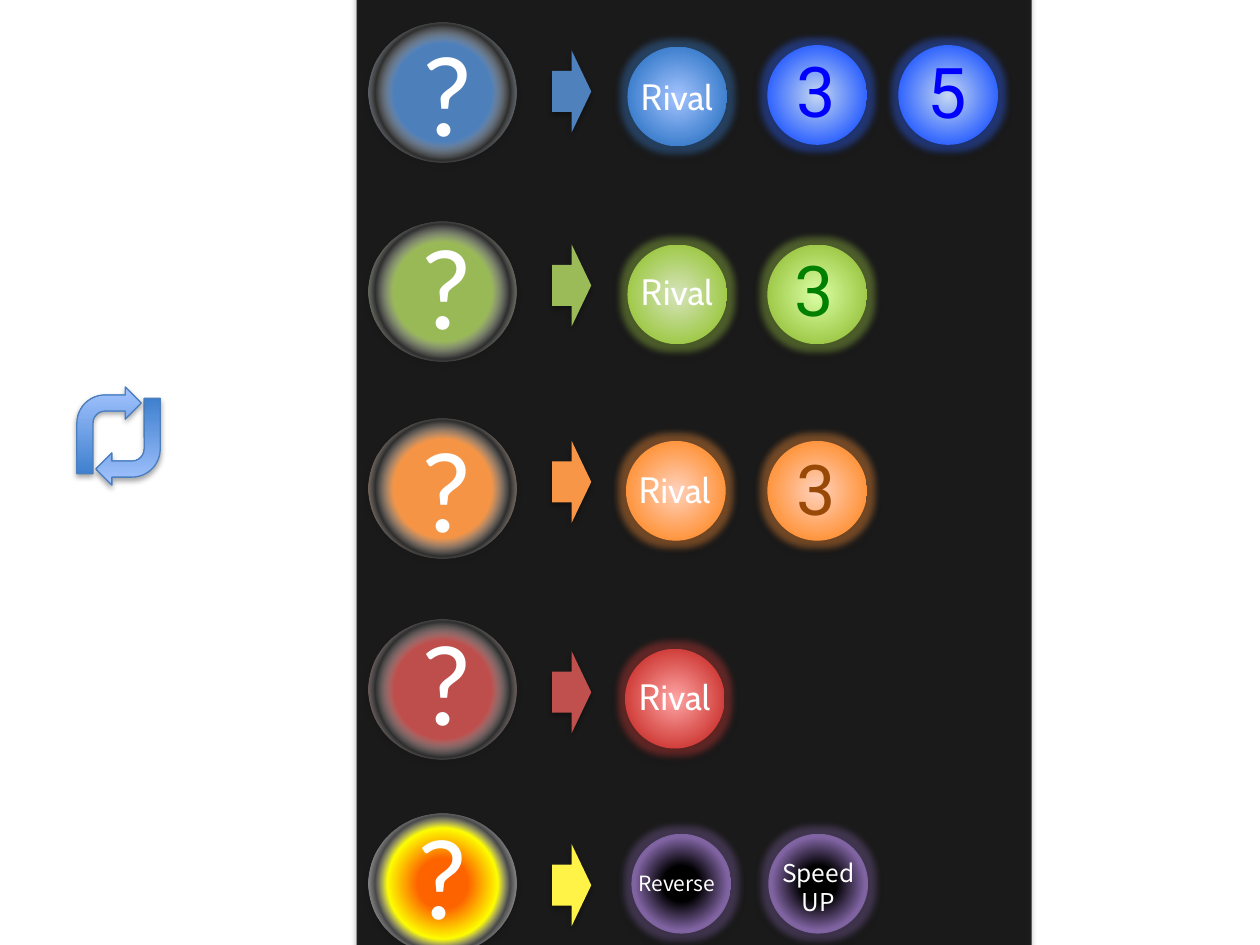
from lxml import etree
from pptx import Presentation
from pptx.dml.color import RGBColor
from pptx.enum.shapes import MSO_SHAPE
from pptx.enum.text import MSO_AUTO_SIZE, PP_ALIGN
from pptx.oxml import parse_xml
from pptx.util import Cm, Pt

RECTANGLE = MSO_SHAPE.RECTANGLE
OVAL = MSO_SHAPE.OVAL
RIGHT_ARROW = MSO_SHAPE.RIGHT_ARROW
BENT_ARROW = MSO_SHAPE.BENT_ARROW
FIT_SHAPE = MSO_AUTO_SIZE.SHAPE_TO_FIT_TEXT
CENTER = PP_ALIGN.CENTER

NS = "http://schemas.openxmlformats.org/drawingml/2006/main"
COLOR = '<a:srgbClr val="{}"><a:alpha val="{}"/></a:srgbClr>'
RADIAL = ('<a:path path="circle"><a:fillToRect l="50000" t="50000" '
          'r="50000" b="50000"/></a:path>')
UPWARD = '<a:lin ang="16200000" scaled="0"/>'

prs = Presentation()
prs.slide_width, prs.slide_height = Cm(25.4), Cm(19.05)
slide = prs.slides.add_slide(prs.slide_layouts[6])


def draw(kind, box, stops, direction=RADIAL, glow=None):
    """Add a shadowed shape; stops are (position, colour, opacity) in percent."""
    shape = slide.shapes.add_shape(kind, *[Cm(length) for length in box])
    shape.line.fill.background()
    shape.shadow.inherit = False
    colors = [COLOR.format(color, opacity * 1000) for _, color, opacity in stops]
    if len(stops) == 1:
        fill = f'<a:solidFill xmlns:a="{NS}">{colors[0]}</a:solidFill>'
    else:
        marks = "".join(f'<a:gs pos="{stop[0] * 1000}">{color}</a:gs>'
                        for stop, color in zip(stops, colors))
        fill = (f'<a:gradFill xmlns:a="{NS}" rotWithShape="1">'
                f'<a:gsLst>{marks}</a:gsLst>{direction}</a:gradFill>')
    properties = shape._element.spPr
    properties.find(f"{{{NS}}}prstGeom").addnext(parse_xml(fill))
    effects = properties.find(f"{{{NS}}}effectLst")
    if glow:
        effects.append(parse_xml(f'<a:glow xmlns:a="{NS}" rad="101600">'
                                 f'{COLOR.format(glow, 40000)}</a:glow>'))
    effects.append(parse_xml(
        f'<a:outerShdw xmlns:a="{NS}" blurRad="40000" dist="23000" dir="5400000" '
        f'rotWithShape="0">{COLOR.format("000000", 35000)}</a:outerShdw>'))
    return shape


def write(box, lines, size, color, align=None):
    """Add a text box; each line is a list of (text, font) pieces."""
    label = slide.shapes.add_textbox(*[Cm(length) for length in box])
    frame = label.text_frame
    frame.word_wrap = False
    frame.auto_size = FIT_SHAPE
    for index, pieces in enumerate(lines):
        paragraph = frame.add_paragraph() if index else frame.paragraphs[0]
        paragraph.alignment = align
        for text, font in pieces:
            run = paragraph.add_run()
            run.text = text
            run.font.name = font
            run.font.size = Pt(size)
            run.font.color.rgb = RGBColor.from_string(color)
    return label


# Dark panel
draw(RECTANGLE, (7.19, -3.86, 13.61, 24.16), [(0, "000000", 85)])

# Mystery items: circle top, mark left, mark top, arrow top, arrow colour
mysteries = [
    (0.46, 8.23, 0.3, 1.02, "4F81BD"),
    (4.47, 8.2, 4.19, 4.93, "9BBB59"),
    (8.43, 8.2, 8.28, 8.89, "F79646"),
    (12.5, 8.2, 12.17, 13.13, "C0504D"),
    (16.41, 8.13, 16.08, 17.02, "FFF348"),
]
for circle_top, mark_left, mark_top, arrow_top, color in mysteries:
    if color == "FFF348":
        ring = [(25, "FF6600", 100), (54, "FFFF00", 100),
                (66, "FFFFFF", 21), (86, "FFFFFF", 100)]
    else:
        ring = [(0, color, 100), (48, color, 100), (66, "FFFFFF", 9),
                (86, color, 100), (100, color, 100)]
    draw(OVAL, (7.42, circle_top, 3, 2.82), ring)
    write((mark_left, mark_top, 1.6, 3.07), [[("?", "Calibri")]], 66, "FFFFFF")
    draw(RIGHT_ARROW, (11.13, arrow_top, 0.79, 1.65), [(0, color, 100)])

# Outcome balls: left, top, inner stop, outer stop
balls = [
    (12.65, 0.94, (0, "A4C4FF"), (71, "3F80CE")),
    (15.47, 0.91, (0, "C6D9F1"), (70, "3366FF")),
    (18.11, 0.91, (0, "C6D9F1"), (70, "3366FF")),
    (12.65, 4.93, (0, "D7E4BD"), (71, "A0CA4A")),
    (15.47, 4.93, (0, "DAFFA5"), (71, "A0CA4A")),
    (12.62, 8.89, (0, "FFD2BD"), (71, "FF953E")),
    (15.47, 8.89, (0, "FFD2BD"), (71, "FF953E")),
    (12.6, 13.08, (0, "FFA6A5"), (70, "D1403C")),
    (12.73, 16.81, (25, "000000"), (66, "8064A2")),
    (15.49, 16.81, (25, "000000"), (66, "8064A2")),
]
for left, top, inner, outer in balls:
    draw(OVAL, (left, top, 2.01, 2.01), [(*inner, 100), (*outer, 100)],
         glow=outer[1])

# Rival labels
for left, top in [(12.67, 1.4), (12.67, 5.33), (12.62, 9.32), (12.62, 13.49)]:
    write((left, top, 1.98, 1.12),
          [[("R", "Noto Sans CJK JP"), ("ival", "Cabin")]], 20, "FFFFFF")

# Outlined numbers
numbers = [
    ("3", 15.8, 0.84, "0000FF"),
    ("5", 18.44, 0.86, "0000FF"),
    ("3", 15.77, 4.85, "008000"),
    ("3", 15.8, 8.86, "984807"),
]
for digit, left, top, color in numbers:
    number = write((left, top, 1.4, 1.96), [[(digit, "Roboto")]], 40, color)
    outline = etree.fromstring(
        f'<a:ln xmlns:a="{NS}" w="18415"><a:solidFill>'
        f'<a:srgbClr val="FFFFFF"/></a:solidFill></a:ln>')
    run = number.text_frame.paragraphs[0].runs[0]
    run.font._element.insert(0, outline)

# Special effects
write((12.62, 17.42, 2.24, 0.76), [[("Reverse", "Noto Sans CJK JP")]],
      12, "FFFFFF")
write((15.49, 17.17, 2.01, 1.45),
      [[("Speed", "Noto Sans CJK JP")], [("UP", "Noto Sans CJK JP")]],
      14, "FFFFFF", CENTER)

# Reverse symbol
for left, top, angle in [(1.93, 8.03, 180), (1.55, 7.8, 0)]:
    turn = draw(BENT_ARROW, (left, top, 1.3, 1.75),
                [(0, "3F80CE", 100), (100, "A4C4FF", 100)], UPWARD)
    turn.rotation = angle
    turn.line.color.rgb = RGBColor.from_string("4B7EBC")
    turn.line.width = Pt(0.75)

prs.save("out.pptx")
